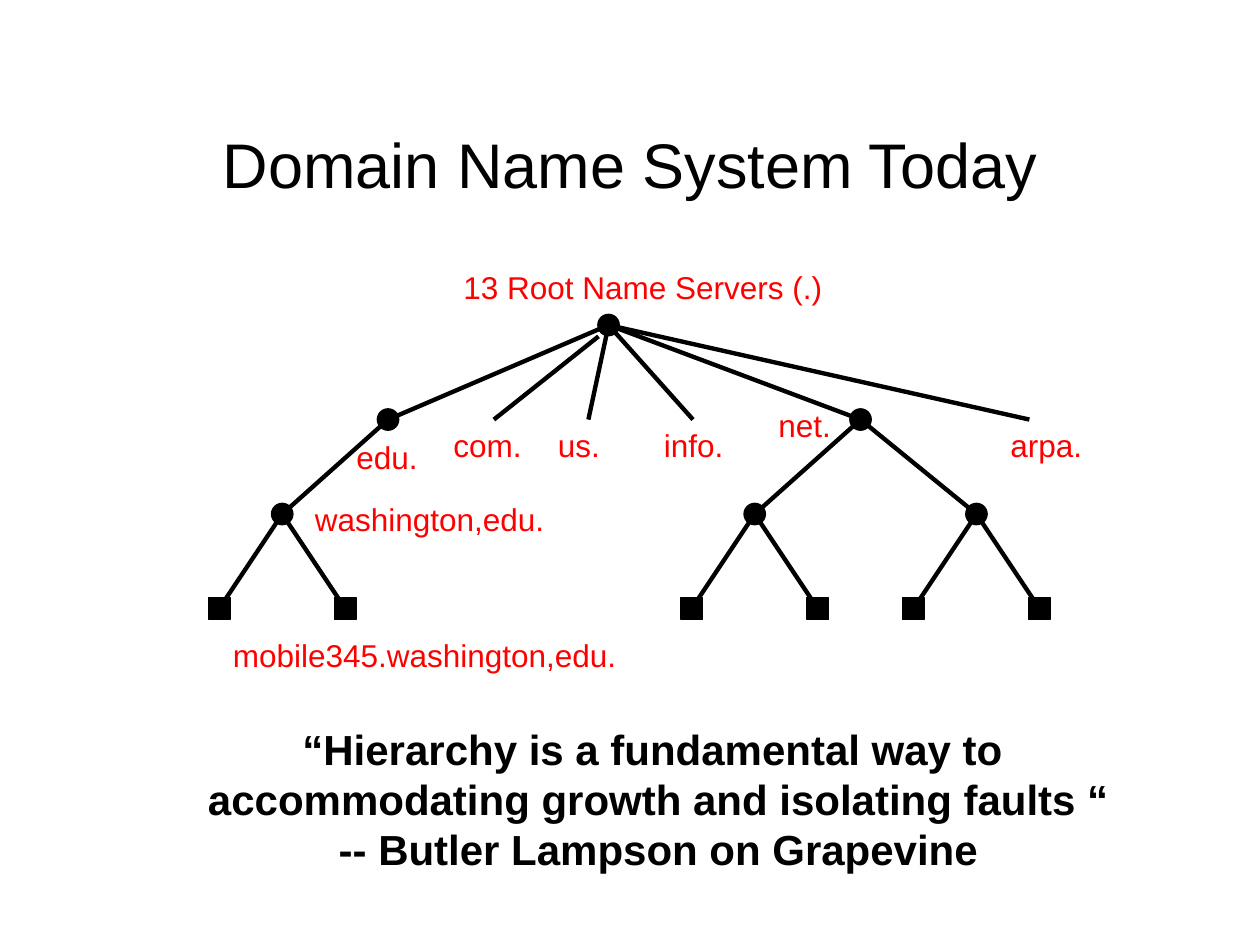
from lxml.etree import SubElement
from pptx import Presentation
from pptx.dml.color import RGBColor
from pptx.enum.shapes import MSO_CONNECTOR, MSO_SHAPE
from pptx.enum.text import MSO_ANCHOR, MSO_AUTO_SIZE, PP_ALIGN
from pptx.oxml.ns import qn
from pptx.util import Inches, Pt

BLACK, RED = "000000", "FF0000"
NODE_SIZE = 0.17


def color(hex_value):
    return RGBColor.from_string(hex_value)


def add_text(slide, box, lines, size, hex_value, bold=False,
             align=PP_ALIGN.LEFT, wrap=False, anchor=MSO_ANCHOR.TOP):
    frame = slide.shapes.add_textbox(*(Inches(v) for v in box)).text_frame
    frame.word_wrap = wrap
    frame.auto_size = MSO_AUTO_SIZE.NONE if wrap else MSO_AUTO_SIZE.SHAPE_TO_FIT_TEXT
    frame.vertical_anchor = anchor
    for i, line in enumerate(lines):
        paragraph = frame.paragraphs[0] if i == 0 else frame.add_paragraph()
        paragraph.alignment = align
        run = paragraph.add_run()
        run.text = line
        run.font.name = "Arial"
        run.font.size = Pt(size)
        run.font.bold = bold
        run.font.color.rgb = color(hex_value)


def add_branch(slide, start, end):
    branch = slide.shapes.add_connector(
        MSO_CONNECTOR.STRAIGHT, *(Inches(v) for v in (*start, *end)))
    branch.line.color.rgb = color(BLACK)
    branch.line.width = Pt(2.5)
    SubElement(branch._element.spPr, qn("a:effectLst"))


def add_node(slide, center, kind):
    x, y = (Inches(v - NODE_SIZE / 2) for v in center)
    node = slide.shapes.add_shape(kind, x, y, Inches(NODE_SIZE), Inches(NODE_SIZE))
    node.shadow.inherit = False
    node.fill.solid()
    node.fill.fore_color.rgb = color(BLACK)
    node.line.color.rgb = color(BLACK)
    node.line.width = Pt(0.75)


def add_title(slide, box):
    add_text(slide, box, ["Domain Name System Today"], 36, BLACK,
             align=PP_ALIGN.CENTER, wrap=True, anchor=MSO_ANCHOR.MIDDLE)


def add_domain_tree(slide, left, top):
    def at(x, y):
        return left + x, top + y

    level_gap, leaf_offset = 0.75, 0.5
    root_y = 0.5
    top_y, zone_y, leaf_y = (root_y + level_gap * n for n in (1, 2, 3))
    root = at(3.18, root_y)

    # Top-level domains that branch further: x and the x of their zones
    for domain_x, zone_xs in ((1.43, [0.59]), (5.18, [4.34, 6.1])):
        domain = at(domain_x, top_y)
        add_branch(slide, root, domain)
        for zone_x in zone_xs:
            zone = at(zone_x, zone_y)
            add_branch(slide, domain, zone)
            for offset in (-leaf_offset, leaf_offset):
                leaf = at(zone_x + offset, leaf_y)
                add_branch(slide, zone, leaf)
                add_node(slide, leaf, MSO_SHAPE.RECTANGLE)
            add_node(slide, zone, MSO_SHAPE.OVAL)
        add_node(slide, domain, MSO_SHAPE.OVAL)
    add_node(slide, root, MSO_SHAPE.OVAL)

    # Top-level domains without children
    add_branch(slide, at(3.1, 0.59), at(2.27, top_y))
    for domain_x in (3.02, 3.85, 6.52):
        add_branch(slide, root, at(domain_x, top_y))

    # Labels: text, x, y, width
    for label, x, y, width in (
        ("13 Root Name Servers (.)", 1.93, 0, 3.08),
        ("edu.", 1.08, 1.35, 0.71),
        ("com.", 1.85, 1.25, 0.77),
        ("us.", 2.68, 1.25, 0.56),
        ("info.", 3.52, 1.25, 0.7),
        ("net.", 4.43, 1.09, 0.64),
        ("arpa.", 6.27, 1.25, 0.8),
        ("washington,edu.", 0.75, 1.84, 2.05),
        ("mobile345.washington,edu.", 0.1, 2.92, 3.27),
    ):
        add_text(slide, (*at(x, y), width, 0.4), [label], 18, RED)


def add_quote(slide, box):
    add_text(slide, box, [
        "“Hierarchy is a fundamental way to ",
        "accommodating growth and isolating faults “",
        "-- Butler Lampson on Grapevine",
    ], 24, BLACK, bold=True, align=PP_ALIGN.CENTER)


def main():
    deck = Presentation()
    deck.slide_width, deck.slide_height = Inches(10), Inches(7.5)
    slide = deck.slides.add_slide(deck.slide_layouts[6])
    add_title(slide, (0.75, 0.67, 8.5, 1.25))
    add_domain_tree(slide, 1.65, 2.08)
    add_quote(slide, (1.55, 5.69, 7.35, 1.3))
    deck.save("out.pptx")


if __name__ == "__main__":
    main()
